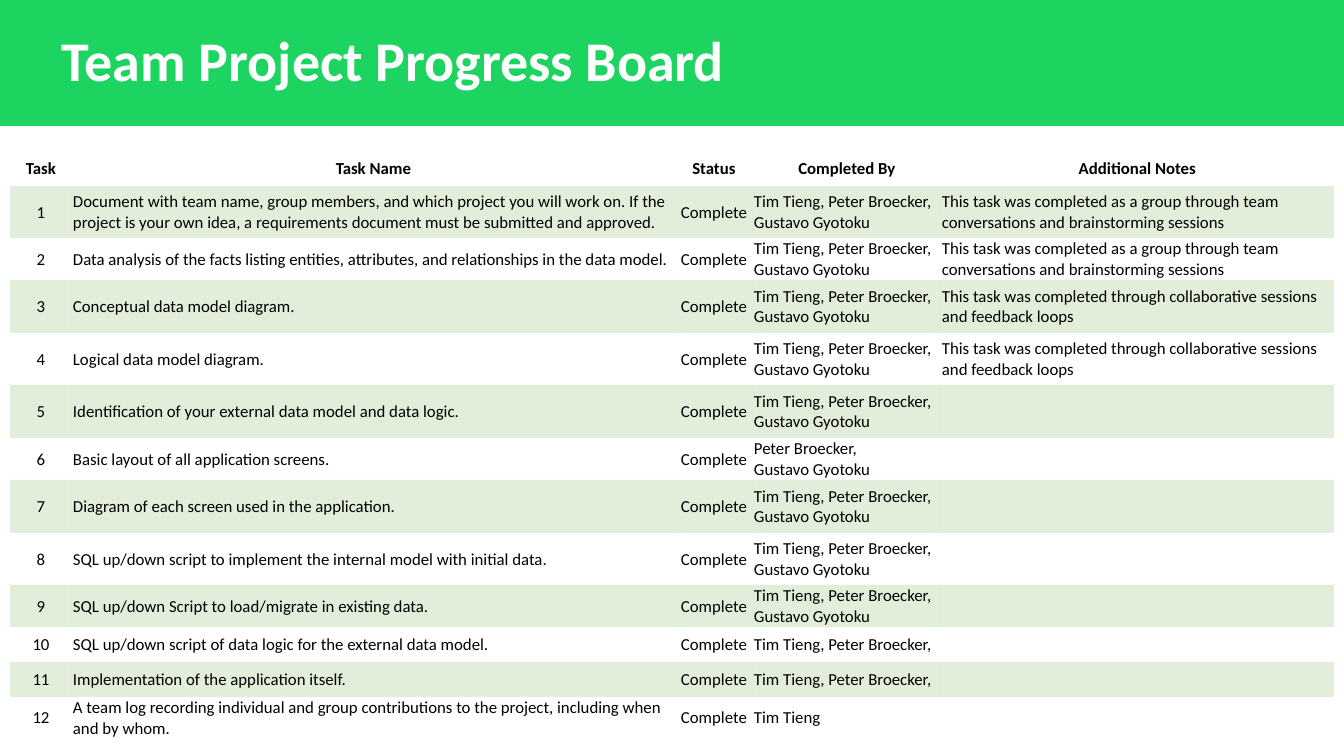
"""Build the team project progress board slide."""
from lxml.etree import SubElement
from pptx import Presentation
from pptx.dml.color import RGBColor
from pptx.enum.shapes import MSO_SHAPE
from pptx.enum.text import MSO_ANCHOR, PP_ALIGN
from pptx.oxml.ns import qn
from pptx.util import Pt

TITLE = "Team Project Progress Board"
HEADERS = ("Task", "Task Name", "Status", "Completed By", "Additional Notes")
STATUS = "Complete"
TEAM = "Tim Tieng, Peter Broecker, Gustavo Gyotoku"
PAIR = "Tim Tieng, Peter Broecker,"
BRAINSTORM = "This task was completed as a group through team conversations and brainstorming sessions"
FEEDBACK = "This task was completed through collaborative sessions and feedback loops"
TASKS = [
    ("Document with team name, group members, and which project you will work on. "
     "If the project is your own idea, a requirements document must be submitted and approved.",
     TEAM, BRAINSTORM),
    ("Data analysis of the facts listing entities, attributes, and relationships in the data model.",
     TEAM, BRAINSTORM),
    ("Conceptual data model diagram.", TEAM, FEEDBACK),
    ("Logical data model diagram.", TEAM, FEEDBACK),
    ("Identification of your external data model and data logic.", TEAM, ""),
    ("Basic layout of all application screens.", "Peter Broecker,\nGustavo Gyotoku", ""),
    ("Diagram of each screen used in the application.", TEAM, ""),
    ("SQL up/down script to implement the internal model with initial data.", TEAM, ""),
    ("SQL up/down Script to load/migrate in existing data.", TEAM, ""),
    ("SQL up/down script of data logic for the external data model.", PAIR, ""),
    ("Implementation of the application itself.", PAIR, ""),
    ("A team log recording individual and group contributions to the project, "
     "including when and by whom.", "Tim Tieng", ""),
]

PX = 914400 / 100.8
SLIDE_WIDTH, SLIDE_HEIGHT = 1344, 756
BANNER_HEIGHT, TITLE_INSET = 126, 62
TABLE_LEFT, TABLE_TOP = 10, 151
COLUMN_WIDTHS = (62, 603, 78, 188, 393)
ROW_HEIGHTS = (35, 52, 26, 53, 52, 53, 35, 53, 52, 35, 35, 35, 35)
CENTERED_COLUMNS = (0, 2)
NO_GRID_STYLE = "{2D5ABB26-0587-4C30-8999-92F81FD0307C}"
FONT = "Calibri"
BANNER_GREEN = RGBColor(0x1D, 0xD4, 0x60)
BAND_GREEN = RGBColor(0x70, 0xAD, 0x47)
BAND_ALPHA = "20000"
WHITE = RGBColor(0xFF, 0xFF, 0xFF)
BLACK = RGBColor(0, 0, 0)


def px(length):
    return round(length * PX)


def write_text(frame, text, size=12, color=BLACK, bold=False, align=PP_ALIGN.LEFT, spacing=1.0):
    for index, line in enumerate(text.split("\n")):
        paragraph = frame.add_paragraph() if index else frame.paragraphs[0]
        paragraph.alignment = align
        paragraph.line_spacing = spacing
        run = paragraph.add_run()
        run.text = line
        run.font.name = FONT
        run.font.size = Pt(size)
        run.font.bold = bold
        run.font.color.rgb = color


def add_banner(slide):
    banner = slide.shapes.add_shape(MSO_SHAPE.RECTANGLE, 0, 0, px(SLIDE_WIDTH), px(BANNER_HEIGHT))
    banner.shadow.inherit = False
    banner.fill.solid()
    banner.fill.fore_color.rgb = BANNER_GREEN
    banner.line.fill.background()
    frame = banner.text_frame
    frame.word_wrap = True
    frame.vertical_anchor = MSO_ANCHOR.MIDDLE
    frame.margin_left = px(TITLE_INSET)
    write_text(frame, TITLE, size=40, color=WHITE, bold=True, spacing=0.9)


def fill_cell(cell, banded):
    if not banded:
        cell.fill.background()
        return
    cell.fill.solid()
    cell.fill.fore_color.rgb = BAND_GREEN
    color = cell._tc.tcPr.find(qn("a:solidFill")).find(qn("a:srgbClr"))
    SubElement(color, qn("a:alpha")).set("val", BAND_ALPHA)


def add_board(slide):
    rows = [HEADERS]
    for number, (name, people, notes) in enumerate(TASKS, start=1):
        rows.append((str(number), name, STATUS, people, notes))
    table = slide.shapes.add_table(
        len(rows), len(HEADERS), px(TABLE_LEFT), px(TABLE_TOP),
        px(sum(COLUMN_WIDTHS)), px(sum(ROW_HEIGHTS))).table
    table.first_row = table.horz_banding = False
    table._tbl.tblPr.find(qn("a:tableStyleId")).text = NO_GRID_STYLE
    for column, width in zip(table.columns, COLUMN_WIDTHS):
        column.width = px(width)
    for row, height in zip(table.rows, ROW_HEIGHTS):
        row.height = px(height)
    for row_index, values in enumerate(rows):
        is_header = row_index == 0
        for column_index, text in enumerate(values):
            cell = table.cell(row_index, column_index)
            cell.margin_left = cell.margin_right = cell.margin_top = px(1)
            cell.margin_bottom = 0
            cell.vertical_anchor = MSO_ANCHOR.MIDDLE
            fill_cell(cell, banded=row_index % 2 == 1)
            centered = is_header or column_index in CENTERED_COLUMNS
            write_text(cell.text_frame, text, bold=is_header,
                       align=PP_ALIGN.CENTER if centered else PP_ALIGN.LEFT)


def main():
    presentation = Presentation()
    presentation.slide_width = px(SLIDE_WIDTH)
    presentation.slide_height = px(SLIDE_HEIGHT)
    slide = presentation.slides.add_slide(presentation.slide_layouts[6])
    add_banner(slide)
    add_board(slide)
    presentation.save("out.pptx")


if __name__ == "__main__":
    main()
